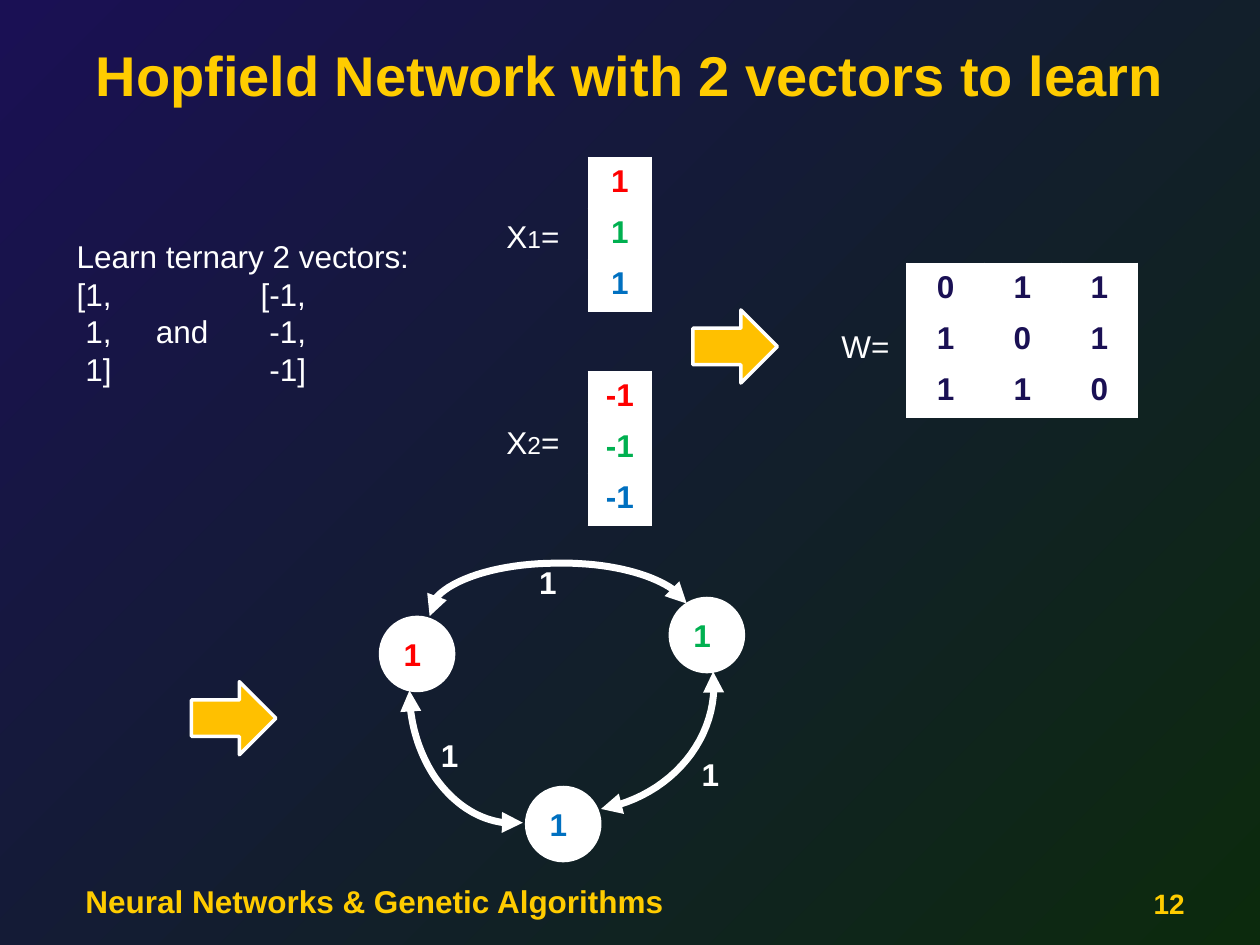
from dataclasses import dataclass

from lxml import etree
from pptx import Presentation
from pptx.dml.color import RGBColor
from pptx.enum.shapes import MSO_SHAPE
from pptx.enum.text import MSO_ANCHOR, MSO_AUTO_SIZE, PP_ALIGN
from pptx.oxml.ns import qn
from pptx.util import Inches, Pt

ARROW = MSO_SHAPE.RIGHT_ARROW
OVAL = MSO_SHAPE.OVAL
LEFT, CENTER, RIGHT = PP_ALIGN.LEFT, PP_ALIGN.CENTER, PP_ALIGN.RIGHT
TOP, MIDDLE, BOTTOM = MSO_ANCHOR.TOP, MSO_ANCHOR.MIDDLE, MSO_ANCHOR.BOTTOM
FIT = MSO_AUTO_SIZE.SHAPE_TO_FIT_TEXT


@dataclass(frozen=True)
class Theme:
    font: str = "Arial"
    title: int = 32
    body: int = 18
    page: int = 16
    sub: int = 14
    gold: str = "FFCC00"
    amber: str = "FFC000"
    white: str = "FFFFFF"
    navy: str = "1A1054"
    forest: str = "0C2A0D"
    red: str = "FF0000"
    green: str = "00B050"
    blue: str = "0070C0"


T = Theme()
TRIO = (T.red, T.green, T.blue)


def color(code):
    return RGBColor.from_string(code)


def add_run(para, text, size=T.body, tint=T.white, bold=False):
    run = para.add_run()
    run.text = text
    font = run.font
    font.name, font.size, font.bold = T.font, Pt(size), bold
    font.color.rgb = color(tint)


def add_box(slide, area, anchor=TOP, wrap=False):
    frame = slide.shapes.add_textbox(*map(Inches, area)).text_frame
    frame.word_wrap = wrap
    frame.vertical_anchor = anchor
    if not wrap:
        frame.auto_size = FIT
    return frame


def add_head(slide, area, text, size, align, anchor):
    para = add_box(slide, area, anchor, True).paragraphs[0]
    para.alignment = align
    add_run(para, text, size, T.gold, True)


def add_label(slide, area, *runs, bold=False):
    para = add_box(slide, area).paragraphs[0]
    for text, size in runs:
        add_run(para, text, size, bold=bold)


def add_tabs(para, stops):
    tabs = etree.SubElement(para._p.get_or_add_pPr(), qn("a:tabLst"))
    for stop in stops:
        etree.SubElement(tabs, qn("a:tab"), pos=str(Inches(stop)), algn="l")


def add_goal(slide):
    lines = (
        ("Learn ternary 2 vectors:", ()),
        ("[1,\t[-1,", (1.46,)),
        ("\t1,\tand\t-1,", (0.07, 0.63, 1.53)),
        ("\t1]\t-1]", (0.07, 1.53)),
    )
    frame = add_box(slide, (0.51, 1.83, 2.84, 1.3))
    for i, (text, stops) in enumerate(lines):
        para = frame.add_paragraph() if i else frame.paragraphs[0]
        if stops:
            add_tabs(para, stops)
        add_run(para, text)


def add_grid(slide, left, top, wide, rows, tint):
    count = len(rows[0])
    area = map(Inches, (left, top, wide * count, 1.22))
    table = slide.shapes.add_table(len(rows), count, *area).table
    table.first_row = table.horz_banding = False
    for col in table.columns:
        col.width = Inches(wide)
    for r, row in enumerate(rows):
        for c, text in enumerate(row):
            cell = table.cell(r, c)
            cell.fill.solid()
            cell.fill.fore_color.rgb = color(T.white)
            para = cell.text_frame.paragraphs[0]
            para.alignment = CENTER
            add_run(para, text, tint=tint[r], bold=True)


def add_form(slide, kind, left, top, wide, fill):
    area = map(Inches, (left, top, wide, 0.58))
    form = slide.shapes.add_shape(kind, *area)
    form.shadow.inherit = False
    form.fill.solid()
    form.fill.fore_color.rgb = color(fill)
    form.line.color.rgb = color(T.white)
    form.line.width = Pt(2)
    return form


def add_node(slide, left, top, tint):
    frame = add_form(slide, OVAL, left, top, 0.58, T.white).text_frame
    frame.vertical_anchor = MIDDLE
    para = frame.paragraphs[0]
    para.alignment = LEFT
    add_run(para, "1", tint=tint, bold=True)


def bezier(ends, steps=24):
    a, b, c, d = ends
    for i in range(1, steps + 1):
        t = i / steps
        u = 1 - t
        yield tuple(
            Inches(u**3 * p + 3 * u * u * t * q + 3 * u * t * t * r + t**3 * s)
            for p, q, r, s in zip(a, b, c, d)
        )


def add_link(slide, points):
    start = map(Inches, points[0])
    pen = slide.shapes.build_freeform(*start)
    for i in range(0, len(points) - 1, 3):
        pen.add_line_segments(bezier(points[i:i + 4]), close=False)
    link = pen.convert_to_shape()
    link.shadow.inherit = False
    link.fill.background()
    link.line.color.rgb = color(T.white)
    link.line.width = Pt(4)
    line = link.line._get_or_add_ln()
    for end in ("a:headEnd", "a:tailEnd"):
        etree.SubElement(line, qn(end), type="triangle")


def add_net(slide):
    for left, top, tint in zip((3.02, 5.32, 4.18), (4.9, 4.75, 6.25), TRIO):
        add_node(slide, left, top, tint)
    links = (
        ((3.41, 4.89), (3.38, 4.67), (3.84, 4.47), (4.42, 4.47),
         (4.91, 4.46), (5.34, 4.6), (5.45, 4.79)),
        ((5.66, 5.33), (5.72, 5.85), (5.33, 6.32), (4.77, 6.42)),
        ((4.15, 6.53), (3.88, 6.56), (3.62, 6.42), (3.44, 6.15),
         (3.32, 5.96), (3.25, 5.73), (3.25, 5.48)),
    )
    for points in links:
        add_link(slide, points)
    for left, top in ((4.18, 4.42), (5.47, 5.94), (3.4, 5.79)):
        add_label(slide, (left, top, 0.34, 0.4), ("1", T.body), bold=True)


def paint(slide):
    fill = slide.background.fill
    fill.gradient()
    fill.gradient_angle = 315
    for stop, tint, spot in zip(fill.gradient_stops, (T.navy, T.forest), (0, 1)):
        stop.color.rgb = color(tint)
        stop.position = spot


def main():
    deck = Presentation()
    deck.slide_width, deck.slide_height = Inches(10), Inches(7.5)
    slide = deck.slides.add_slide(deck.slide_layouts[6])
    paint(slide)
    add_head(slide, (0.5, 0.17, 9, 0.83), "Hopfield Network with 2 vectors to learn",
             T.title, CENTER, MIDDLE)
    add_head(slide, (0.58, 6.83, 7.17, 0.52), "Neural Networks & Genetic Algorithms",
             T.body, LEFT, BOTTOM)
    add_head(slide, (7.17, 6.83, 2.33, 0.52), "12", T.page, RIGHT, BOTTOM)
    add_goal(slide)
    for sub, value, top, high in (("1", "1", 1.25, 1.67), ("2", "-1", 2.95, 3.31)):
        add_grid(slide, 4.67, top, 0.5, [[value]] * 3, TRIO)
        add_label(slide, (3.92, high, 0.62, 0.4),
                  ("X", T.body), (sub, T.sub), ("=", T.body))
    add_grid(slide, 7.2, 2.09, 0.61, ("011", "101", "110"), [T.navy] * 3)
    add_label(slide, (6.58, 2.55, 0.58, 0.4), ("W=", T.body))
    for left, top in ((5.5, 2.46), (1.52, 5.41)):
        add_form(slide, ARROW, left, top, 0.67, T.amber)
    add_net(slide)
    deck.save("out.pptx")


if __name__ == "__main__":
    main()
